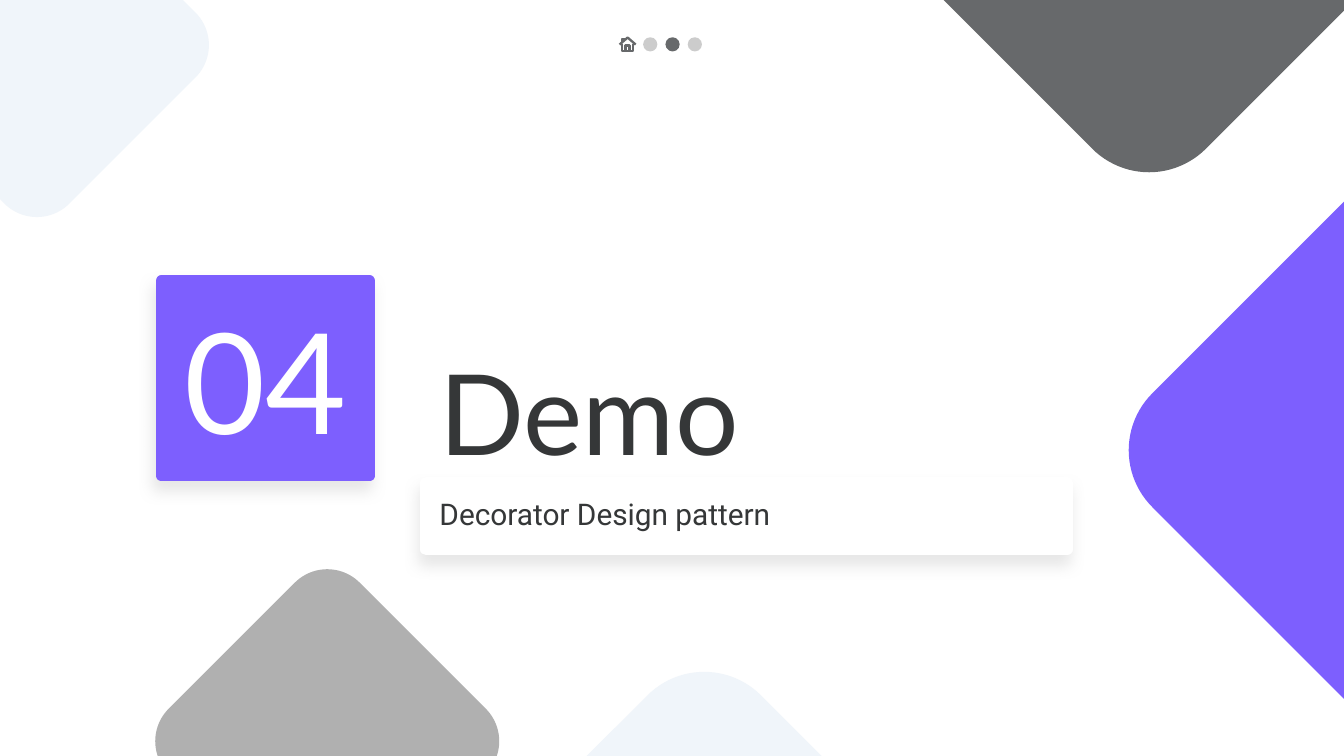
from dataclasses import dataclass

from lxml.etree import SubElement
from pptx import Presentation
from pptx.dml.color import RGBColor
from pptx.enum.shapes import MSO_SHAPE as Preset
from pptx.enum.text import MSO_ANCHOR as Anchor, MSO_AUTO_SIZE as AutoSize, PP_ALIGN as Align
from pptx.oxml.ns import qn
from pptx.util import Inches, Pt


@dataclass(frozen=True)
class Theme:
    accent: str = "7D5FFE"
    dark: str = "67696B"
    gray: str = "B0B0B0"
    pale: str = "F0F5FA"
    white: str = "FFFFFF"
    ink: str = "353738"
    heading_font: str = "Lato"
    body_font: str = "Roboto"
    number_size: int = 75
    title_size: int = 60
    body_size: int = 16


THEME = Theme()
SLIDE_WIDTH = Inches(10)
SLIDE_HEIGHT = SLIDE_WIDTH * 9 // 16
COLUMN = SLIDE_WIDTH // 100


def cells(count):
    return round(count * COLUMN)


def place(box, left, top, width, height):
    box.left, box.top = cells(left), cells(top)
    box.width, box.height = cells(width), cells(height)


def paint(box, color, opacity=100):
    box.fill.solid()
    box.fill.fore_color.rgb = RGBColor.from_string(color)
    if opacity < 100:
        tint = box.fill._xPr.find(".//" + qn("a:srgbClr"))
        SubElement(tint, qn("a:alpha"), val=str(opacity * 1000))


def outline(box, color, width):
    box.line.color.rgb = RGBColor.from_string(color)
    box.line.width = Pt(width)
    SubElement(box.line._get_or_add_ln(), qn("a:round"))


def add_preset(page, preset, left, top, width, height, color, opacity=100):
    box = page.shapes.add_shape(preset, *map(cells, (left, top, width, height)))
    box.shadow.inherit = False
    box.line.fill.background()
    paint(box, color, opacity)
    return box


def add_diamond(page, left, top, side, color):
    box = add_preset(page, Preset.ROUNDED_RECTANGLE, left, top, side, side, color)
    box.adjustments[0] = 0.17
    box.rotation = 315


def raise_card(box, color):
    paint(box, color)
    outline(box, color, 6)
    box.shadow.inherit = False
    effects = box._element.spPr.find(qn("a:effectLst"))
    shadow = SubElement(
        effects, qn("a:outerShdw"), blurRad=str(Pt(7.9)), dist=str(Pt(5.2)),
        dir=str(110 * 60000), algn="bl", rotWithShape="0",
    )
    tint = SubElement(shadow, qn("a:srgbClr"), val=THEME.gray)
    SubElement(tint, qn("a:alpha"), val="30000")


def write(box, text, font, size, color, align=Align.LEFT, anchor=Anchor.TOP):
    frame = box.text_frame
    frame.word_wrap = True
    frame.auto_size = AutoSize.NONE
    frame.vertical_anchor = anchor
    frame.margin_left = frame.margin_right = cells(1)
    frame.margin_top = frame.margin_bottom = cells(1)
    para = frame.paragraphs[0]
    para.alignment = align
    para.space_before = Pt(0)
    span = para.add_run()
    span.text = text
    span.font.name = font
    span.font.size = Pt(size)
    span.font.color.rgb = RGBColor.from_string(color)


def add_home(page, left, top):
    roof = [(0, 52), (60, 0), (120, 52)]
    walls = [(20, 48), (20, 100), (100, 100), (100, 48)]
    door = [(45, 100), (45, 60), (75, 60), (75, 100)]
    chimney = [(20, 35), (20, 10), (40, 10)]
    builder = page.shapes.build_freeform(*roof[0], scale=COLUMN / 100)
    builder.add_line_segments(roof[1:], close=False)
    for start, *rest in (walls, door, chimney):
        builder.move_to(*start)
        builder.add_line_segments(rest, close=False)
    icon = builder.convert_to_shape(cells(left), cells(top))
    icon.shadow.inherit = False
    icon.fill.background()
    outline(icon, THEME.dark, 1.25)


def add_background(page):
    for left, top, side, color in (
        (34.8, 54.8, 35.2, THEME.pale),
        (88.8, 15.9, 35.2, THEME.accent),
        (67.9, -27.2, 35.2, THEME.dark),
        (14.3, 45.1, 20.1, THEME.gray),
        (-7.3, -6.7, 20.1, THEME.pale),
    ):
        add_diamond(page, left, top, side, color)


def add_heading(page):
    number = add_preset(page, Preset.RECTANGLE, 12, 20.9, 15.5, 14.5, THEME.accent)
    raise_card(number, THEME.accent)
    write(number, "04", THEME.heading_font, THEME.number_size, THEME.white,
          align=Align.CENTER, anchor=Anchor.MIDDLE)

    title, subtitle = page.shapes.title, page.placeholders[1]
    place(subtitle, 31.7, 35.9, 47.7, 5)
    raise_card(subtitle, THEME.white)
    write(subtitle, "Decorator Design pattern", THEME.body_font, THEME.body_size, THEME.ink)
    place(title, 31.7, 15.3, 56.3, 21.3)
    write(title, "Demo", THEME.heading_font, THEME.title_size, THEME.ink, anchor=Anchor.BOTTOM)
    for box in (subtitle, title):
        page.shapes._spTree.append(box._element)


def add_navigation(page, current=1):
    add_home(page, 46.1, 2.8)
    for index in range(3):
        color, opacity = (THEME.dark, 100) if index == current else (THEME.gray, 64)
        add_preset(page, Preset.OVAL, 47.85 + 1.66 * index, 2.77, 1.06, 1.06, color, opacity)


def main():
    deck = Presentation()
    deck.slide_width, deck.slide_height = SLIDE_WIDTH, SLIDE_HEIGHT
    page = deck.slides.add_slide(deck.slide_layouts[0])
    add_background(page)
    add_heading(page)
    add_navigation(page)
    deck.save("out.pptx")


if __name__ == "__main__":
    main()
